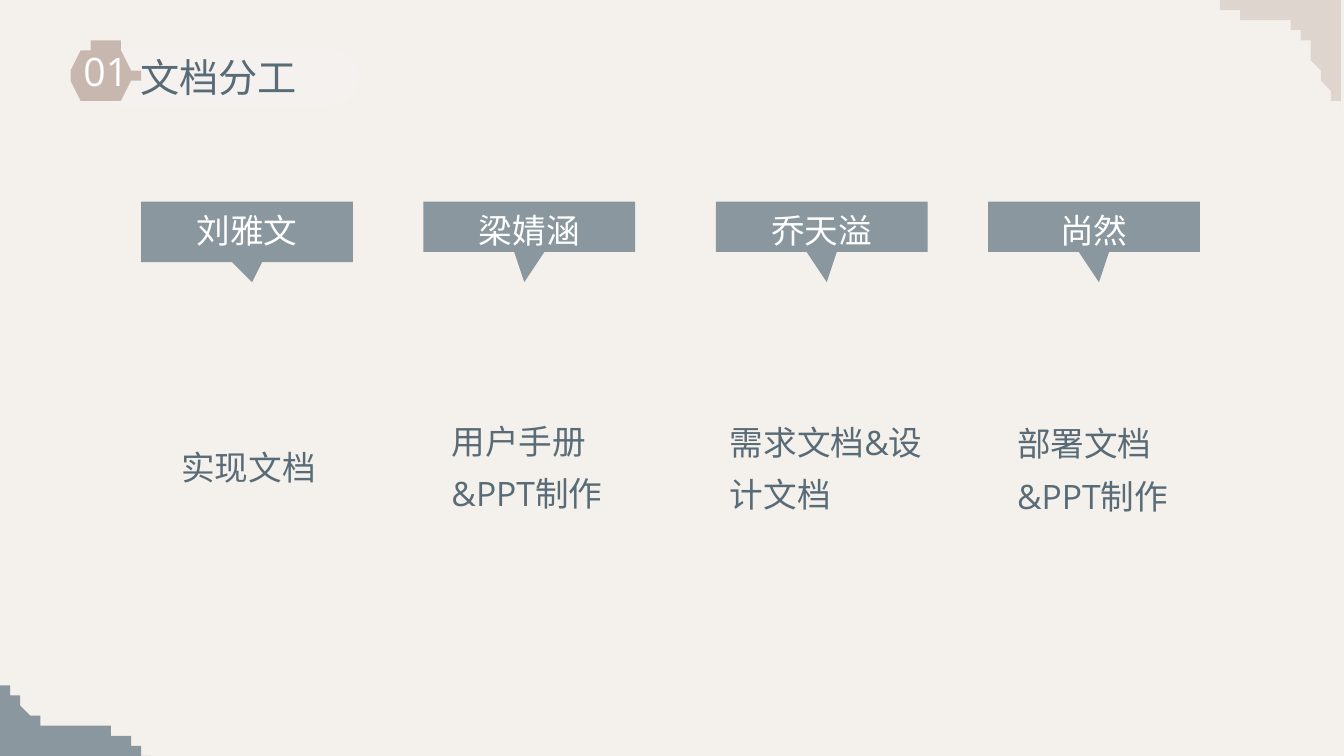
"""Build the slide that shares the project documents among four people."""
from lxml import etree
from pptx import Presentation
from pptx.dml.color import RGBColor
from pptx.enum.shapes import MSO_SHAPE
from pptx.enum.text import MSO_ANCHOR, MSO_AUTO_SIZE, PP_ALIGN
from pptx.oxml.ns import qn
from pptx.util import Inches, Pt

PILL = MSO_SHAPE.ROUNDED_RECTANGLE
MIDDLE, TOP = MSO_ANCHOR.MIDDLE, MSO_ANCHOR.TOP
LEFT, CENTER = PP_ALIGN.LEFT, PP_ALIGN.CENTER
NO_FIT = MSO_AUTO_SIZE.NONE
HAN_FONT, LATIN_FONT = "Noto Sans CJK SC", "Open Sans"
COLORS = {name: RGBColor.from_string(value) for name, value in {
    "paper": "F4F1EC", "pill": "F4F1EF", "sand": "DED5CE", "clay": "C8B7AF",
    "slate": "8A979F", "ink": "586B76", "white": "FFFFFF"}.items()}

deck = Presentation()
deck.slide_width, deck.slide_height = Inches(13.33), Inches(7.5)
CELL = deck.slide_height / 75
COLUMNS, ROWS = 133.3, 75
page = deck.slides.add_slide(deck.slide_layouts[5])
page.background.fill.solid()
page.background.fill.fore_color.rgb = COLORS["paper"]


def draw_outline(start, segments, color):
    """Draw a filled outline in grid cells: one point is a line, three are a curve."""
    points, last = [], start
    for segment in segments:
        if len(segment) == 1:
            points.append(segment[0])
        else:
            first, second, end = segment
            for step in range(1, 17):
                t = step / 16
                points.append(tuple(
                    a * (1 - t) ** 3 + 3 * b * t * (1 - t) ** 2
                    + 3 * c * t ** 2 * (1 - t) + d * t ** 3
                    for a, b, c, d in zip(last, first, second, end)))
        last = points[-1]
    builder = page.shapes.build_freeform(*start, scale=CELL)
    builder.add_line_segments(points)
    shape = builder.convert_to_shape()
    shape.shadow.inherit = False
    shape.fill.solid()
    shape.fill.fore_color.rgb = color
    shape.line.fill.background()
    return shape


def write_text(box, text, size, font_name, color, align, anchor, margins, spacing=1.0):
    """Put one formatted paragraph in a box, with margins in grid cells."""
    frame = box.text_frame
    frame.auto_size, frame.word_wrap = NO_FIT, True
    frame.vertical_anchor = anchor
    (frame.margin_left, frame.margin_top,
     frame.margin_right, frame.margin_bottom) = [int(m * CELL) for m in margins]
    para = frame.paragraphs[0]
    para.text, para.alignment, para.line_spacing = text, align, spacing
    para.font.size, para.font.name = Pt(size), font_name
    para.font.color.rgb = color
    defaults = para._p.pPr.find(qn("a:defRPr"))
    etree.SubElement(defaults, qn("a:ea")).set("typeface", HAN_FONT)


draw_outline((COLUMNS, 0), [
    [(COLUMNS, 10.7)],
    [(129.9, 8.5), (130.2, 1.2), (125.7, 1.6)],
    [(122.7, 1.9), (121.1, 1), (120.2, 0)]], COLORS["sand"])
draw_outline((0, ROWS), [
    [(0, 67.3)],
    [(1.9, 68.8), (2.1, 72.1), (5.9, 71.7)],
    [(10.5, 71.3), (13.2, 73.2), (14.7, ROWS)]], COLORS["slate"])

pill_place = [int(cells * CELL) for cells in (9.5, 4.8, 26.1, 5.7)]
pill = page.shapes.add_shape(PILL, *pill_place)
pill.adjustments[0] = 0.5
pill.shadow.inherit = False
pill.fill.solid()
pill.fill.fore_color.rgb = COLORS["pill"]
pill.line.fill.background()

title = page.shapes.title
title.left, title.top, title.width, title.height = pill_place
pill.element.addnext(title.element)
write_text(title, "文档分工", 28, HAN_FONT, COLORS["ink"], LEFT, MIDDLE,
           (4.4, 0.5, 1, 0.5))

corners = [(10.15 + x, 7.5 + y) for x, y in (
    (-3.45, 0), (-1.7, -3), (1.7, -3), (3.45, 0), (1.7, 3), (-1.7, 3))]
sides = []
for index, corner in enumerate(corners):
    before, after = [
        tuple(c + 0.1 * (n - c) for c, n in zip(corner, neighbour))
        for neighbour in (corners[index - 1], corners[(index + 1) % 6])]
    sides += [[before], [corner, corner, after]]
badge = draw_outline(sides[0][0], sides[1:], COLORS["clay"])
write_text(badge, "01", 28, LATIN_FONT, COLORS["white"], CENTER, MIDDLE, (0, 0, 0, 0))

FLAG_OUTLINE = [(21, 0), (21, 5.1), (12, 5.1), (10.5, 7.4), (9, 5.1), (0, 5.1), (0, 0)]
people = [
    ("刘雅文", 14.3, 20.5, "实现文档", (17, 38.7, 20.3, 14.1)),
    ("梁婧涵", 41.9, 20.2, "用户手册&PPT制作", (43.8, 32.8, 22.3, 25.9)),
    ("乔天溢", 71, 20.2, "需求文档&设计文档", (71.4, 34.4, 24.1, 22.9)),
    ("尚然", 98.2, 20.2, "部署文档&PPT制作", (99.9, 32.8, 22.4, 26.4)),
]
for name, left, top, task, task_place in people:
    flag = draw_outline((left, top), [[(left + x, top + y)] for x, y in FLAG_OUTLINE],
                        COLORS["slate"])
    write_text(flag, name, 24, HAN_FONT, COLORS["white"], CENTER, TOP,
               (1, 1.6, 1, 0.5), 0.8)
    box = page.shapes.add_textbox(*[int(cells * CELL) for cells in task_place])
    write_text(box, task, 24, LATIN_FONT, COLORS["ink"], LEFT, MIDDLE,
               (1, 0.5, 1, 0.5), 1.3)

deck.save("out.pptx")
